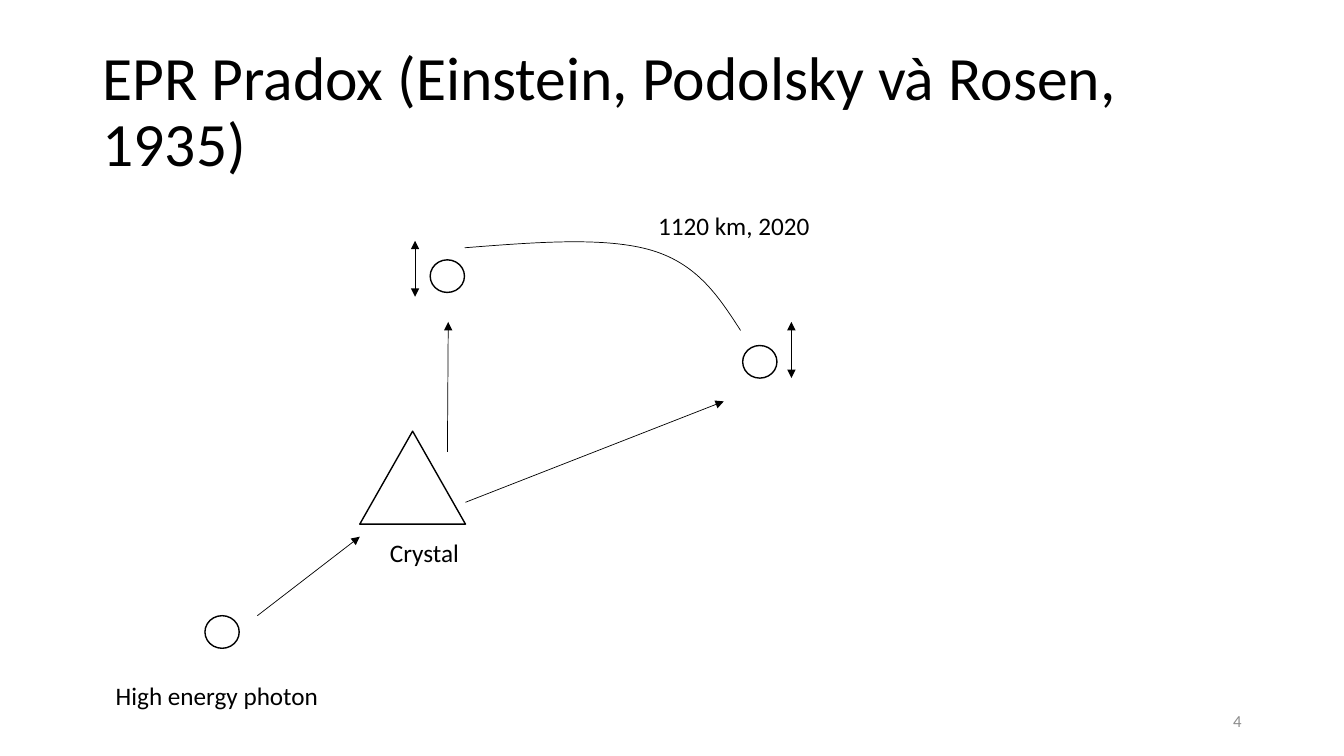
from lxml import etree
from pptx import Presentation
from pptx.dml.color import RGBColor
from pptx.enum.shapes import MSO_CONNECTOR, MSO_SHAPE
from pptx.enum.text import MSO_ANCHOR, PP_ALIGN
from pptx.oxml.ns import qn
from pptx.util import Pt

STRAIGHT = MSO_CONNECTOR.STRAIGHT
OVAL, TRIANGLE = MSO_SHAPE.OVAL, MSO_SHAPE.ISOSCELES_TRIANGLE
MIDDLE = MSO_ANCHOR.MIDDLE
LEFT, RIGHT = PP_ALIGN.LEFT, PP_ALIGN.RIGHT
FONT, BLACK, GREY = "Calibri", "000000", "8C8C8C"


def set_color(color_format, value):
    """Apply a hex colour to a font colour or a fill's foreground."""
    color_format.rgb = RGBColor.from_string(value)


def place(shape, left, top, width, height):
    """Move and size a shape in points."""
    shape.left, shape.top = Pt(left), Pt(top)
    shape.width, shape.height = Pt(width), Pt(height)


def set_line(shape, weight):
    """Give a shape or connector a black line."""
    set_color(shape.line.color, BLACK)
    shape.line.width = Pt(weight)


def format_text(tf, text, size, color=BLACK, align=LEFT):
    """Write one paragraph and format its run."""
    tf.word_wrap = True
    tf.text = text
    p = tf.paragraphs[0]
    p.alignment = align
    font = p.runs[0].font
    font.name, font.size = FONT, Pt(size)
    set_color(font.color, color)


def add_title(s, text):
    """Fill and place the title placeholder."""
    title = s.shapes.title
    place(title, 66, 28.75, 828, 104.4)
    tf = title.text_frame
    format_text(tf, text, 44)
    tf.vertical_anchor = MIDDLE
    tf.paragraphs[0].line_spacing = 0.9


def add_label(s, text, left, top, width, size=18, color=BLACK, align=LEFT):
    """Add a one-line text box."""
    box = s.shapes.add_textbox(Pt(left), Pt(top), Pt(width), Pt(29))
    format_text(box.text_frame, text, size, color, align)
    return box


def add_outline(s, kind, left, top, width, height):
    """Add an unfilled preset shape."""
    sp = s.shapes.add_shape(kind, Pt(left), Pt(top), Pt(width), Pt(height))
    sp.shadow.inherit = False
    sp.fill.background()
    set_line(sp, 1)


def add_photon(s, left, top):
    """Add a photon circle."""
    add_outline(s, OVAL, left, top, 24.5, 23.3)


def add_arrow(s, x1, y1, x2, y2, both_ends=False):
    """Add a thin arrow with one or two heads."""
    arrow = s.shapes.add_connector(STRAIGHT, Pt(x1), Pt(y1), Pt(x2), Pt(y2))
    set_line(arrow, 0.5)
    ln = arrow.line._get_or_add_ln()
    for tag in ["a:headEnd", "a:tailEnd"] if both_ends else ["a:tailEnd"]:
        etree.SubElement(ln, qn(tag), type="triangle")
    etree.SubElement(arrow._element.spPr, qn("a:effectLst"))


def add_polarization(s, x, top):
    """Add a vertical double-headed arrow beside a photon."""
    add_arrow(s, x, top + 40, x, top, both_ends=True)


def add_curve(s, start, controls):
    """Add an open curve, taking the points after start in Bezier triples."""
    builder = s.shapes.build_freeform(*start, scale=Pt(1))
    builder.add_line_segments(controls, close=False)
    curve = builder.convert_to_shape()
    curve.shadow.inherit = False
    curve.fill.background()
    set_line(curve, 0.5)
    segments = list(curve._element.iter(qn("a:lnTo")))
    path = segments[0].getparent()
    for i in range(0, len(segments), 3):
        bezier = etree.SubElement(path, qn("a:cubicBezTo"))
        for segment in segments[i:i + 3]:
            bezier.append(segment[0])
            path.remove(segment)


def main():
    """Build the slide."""
    prs = Presentation()
    prs.slide_width, prs.slide_height = Pt(960), Pt(540)
    s = prs.slides.add_slide(prs.slide_layouts[5])
    add_title(s, "EPR Pradox (Einstein, Podolsky và Rosen, 1935)")

    for left, top in [(146.4, 439.8), (530.5, 246.8), (307.3, 185.6)]:
        add_photon(s, left, top)
    add_outline(s, TRIANGLE, 257, 308, 75.5, 66.4)

    add_arrow(s, 183.8, 439.8, 257, 383.4)
    add_arrow(s, 319.6, 322.8, 320.2, 230)
    add_arrow(s, 332.5, 358.8, 517, 286.7)
    add_polarization(s, 565.3, 230)
    add_polarization(s, 296.5, 172)
    add_curve(s, (332.5, 176.9),
              [(383, 173.2), (433.4, 169.4), (466, 179.2),
               (498.8, 189), (514, 212.6), (529, 236)])

    add_label(s, "High energy photon", 75.6, 482.4, 165.6)
    add_label(s, "Crystal", 271.4, 380.2, 73.4)
    add_label(s, "1120 km, 2020", 463, 146.9, 239)
    number = add_label(s, "4", 678, 500.5, 216, 12, GREY, RIGHT)
    number.text_frame.vertical_anchor = MIDDLE
    prs.save("out.pptx")


if __name__ == "__main__":
    main()
